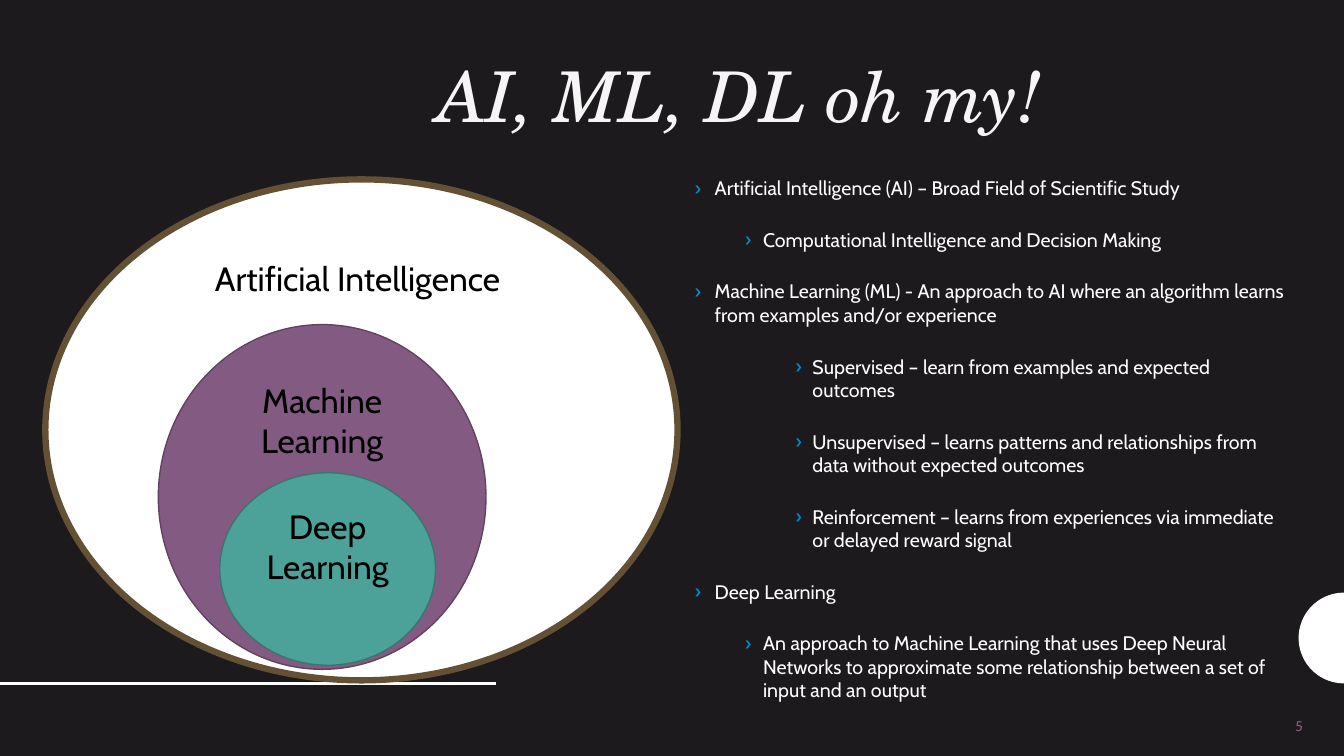
from math import cos, pi, sin

from lxml.etree import SubElement
from pptx import Presentation
from pptx.dml.color import RGBColor
from pptx.enum.shapes import MSO_CONNECTOR, MSO_SHAPE
from pptx.enum.text import MSO_ANCHOR, PP_ALIGN
from pptx.oxml.ns import qn
from pptx.util import Inches, Pt

WHITE, PURPLE = "FFFFFF", "835B82"


def rgb(color):
    return RGBColor.from_string(color)


def write(shape, text, size, color, align, anchor, font="Cabin"):
    tf = shape.text_frame
    tf.text = text
    tf.word_wrap = True
    tf.vertical_anchor = anchor
    for p in tf.paragraphs:
        p.alignment = align
        f = p.runs[0].font
        f.name, f.size, f.color.rgb = font, Pt(size), rgb(color)
    return tf


prs = Presentation()
prs.slide_width, prs.slide_height = Inches(13.33), Inches(7.5)
s = prs.slides.add_slide(prs.slide_layouts[6])
s.background.fill.solid()
s.background.fill.fore_color.rgb = rgb("1D1A1D")

# Half disc on the right edge
steps, radius = 48, 0.45
arc = [(Inches(13.33 - radius * sin(pi * i / steps)),
        Inches(6.33 - radius * cos(pi * i / steps))) for i in range(steps + 1)]
builder = s.shapes.build_freeform(*arc[0])
builder.add_line_segments(arc[1:], close=True)
disc = builder.convert_to_shape()
disc.shadow.inherit = False
disc.fill.solid()
disc.fill.fore_color.rgb = rgb(WHITE)
disc.line.fill.background()

# Rule at the lower left
rule = s.shapes.add_connector(MSO_CONNECTOR.STRAIGHT, Inches(0), Inches(6.78),
                              Inches(4.92), Inches(6.78))
rule.line.color.rgb = rgb(WHITE)
rule.line.width = Pt(2)
SubElement(rule._element.spPr, qn("a:effectLst"))

# Slide number
number = s.shapes.add_textbox(Inches(9.91), Inches(7), Inches(3.11), Inches(0.4))
write(number, "5", 10, PURPLE, PP_ALIGN.RIGHT, MSO_ANCHOR.MIDDLE)

# Definitions: level and wording
definitions = [
    (0, "Artificial Intelligence (AI) – Broad Field of Scientific Study"),
    (1, "Computational Intelligence and Decision Making"),
    (0, "Machine Learning (ML) - An approach to AI where an algorithm learns "
        "from examples and/or experience"),
    (2, "Supervised – learn from examples and expected outcomes"),
    (2, "Unsupervised – learns patterns and relationships from data without "
        "expected outcomes"),
    (2, "Reinforcement – learns from experiences via immediate or delayed "
        "reward signal"),
    (0, "Deep Learning"),
    (1, "An approach to Machine Learning that uses Deep Neural Networks to "
        "approximate some relationship between a set of input and an output"),
]
indents = [(0.2, 0.2), (0.68, 0.18), (1.17, 0.17)]
body = s.shapes.add_textbox(Inches(6.79), Inches(1.7), Inches(6.1), Inches(4.97))
tf = write(body, "\n".join(text for level, text in definitions), 14, WHITE,
           PP_ALIGN.LEFT, MSO_ANCHOR.TOP)
for p, (level, text) in zip(tf.paragraphs, definitions):
    p.level = level
    p.space_before = p.space_after = Pt(10)
    margin, hang = indents[level]
    pPr = p._p.get_or_add_pPr()
    pPr.set("marL", str(Inches(margin)))
    pPr.set("indent", str(-Inches(hang)))
    SubElement(SubElement(pPr, qn("a:buClr")), qn("a:srgbClr"), val="008FD0")
    SubElement(pPr, qn("a:buFont"), typeface="Cabin")
    SubElement(pPr, qn("a:buChar"), char="›")

# Title
title = s.shapes.add_textbox(Inches(0.45), Inches(0.16), Inches(9.98), Inches(1.25))
tf = write(title, "AI, ML, DL oh my!", 50, "F5F5F5", PP_ALIGN.RIGHT,
           MSO_ANCHOR.BOTTOM, "TeX Gyre Schola")
p = tf.paragraphs[0]
p.line_spacing = 0.9
p.runs[0].font.italic = True

# Nested fields, from outer to inner
fields = [
    ("Artificial Intelligence ", (0.45, 1.78, 6.27, 4.97), WHITE, "645135", 4.5),
    ("Machine Learning", (1.57, 3.22, 3.25, 3.42), PURPLE, "614360", 1),
    ("Deep Learning", (2.18, 4.69, 2.14, 1.91), "4CA198", "387770", 1),
]
for text, box, fill, line, width in fields:
    sp = s.shapes.add_shape(MSO_SHAPE.OVAL, *map(Inches, box))
    sp.shadow.inherit = False
    sp.fill.solid()
    sp.fill.fore_color.rgb = rgb(fill)
    sp.line.color.rgb = rgb(line)
    sp.line.width = Pt(width)
    write(sp, text, 24, "000000", PP_ALIGN.CENTER, MSO_ANCHOR.TOP)

prs.save("out.pptx")
